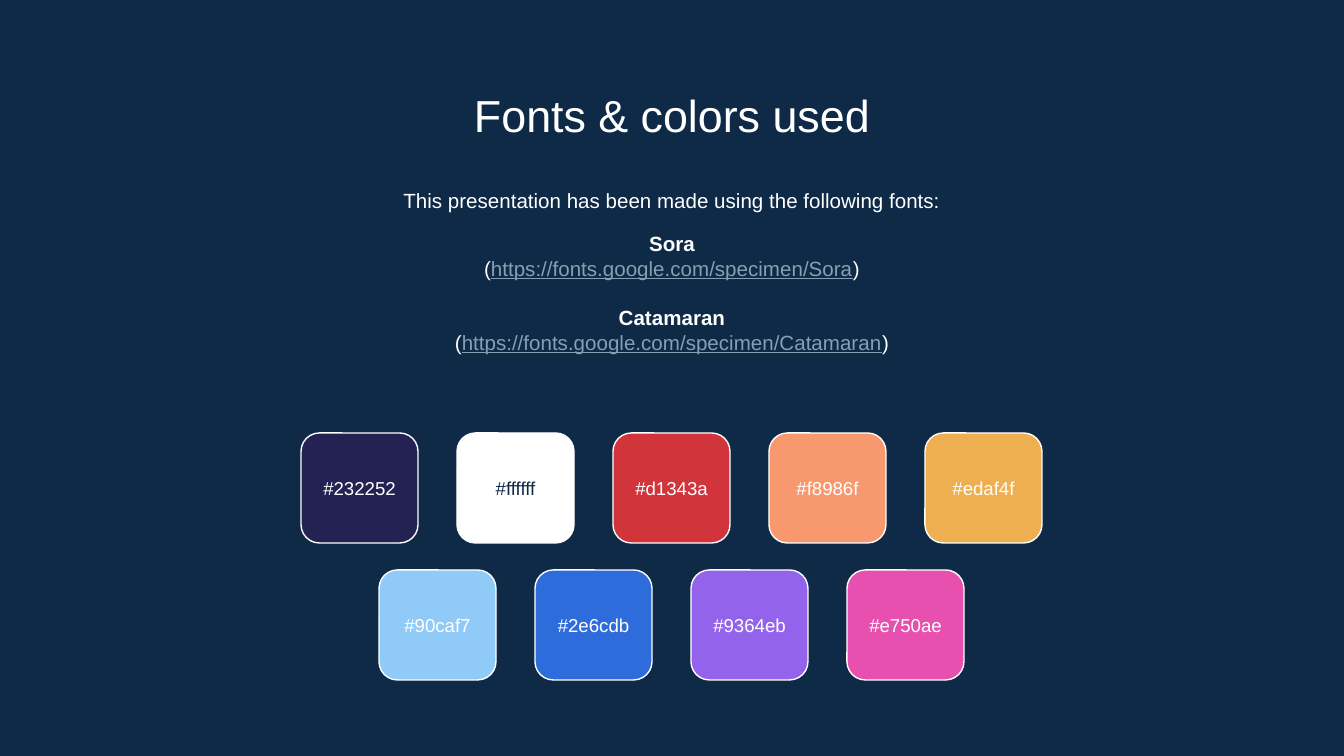
"""Build the slide that lists the fonts and colours of a presentation."""
import pptx
import pptx.dml.color
import pptx.enum.shapes
import pptx.enum.text
import pptx.util

PX = 914400 / 134.4
PAGE_WIDTH, PAGE_HEIGHT = 1344, 756
FONT = "Arial"
NAVY, WHITE, LINK = "0E2A47", "FFFFFF", "869FB2"
SWATCH_WIDTH, SWATCH_HEIGHT, SWATCH_PITCH = 117, 110, 156
SWATCH_ROWS = [
    (433, ["232252", "ffffff", "d1343a", "f8986f", "edaf4f"]),
    (570, ["90caf7", "2e6cdb", "9364eb", "e750ae"]),
]
FONT_PAGES = [
    ("Sora", "https://fonts.google.com/specimen/Sora", 10),
    ("Catamaran", "https://fonts.google.com/specimen/Catamaran", 13),
]


def px(length):
    """Turn pixels into EMU."""
    return pptx.util.Emu(round(length * PX))


def colour(code):
    """Turn a hex string into a colour."""
    return pptx.dml.color.RGBColor.from_string(code.upper())


def set_frame(shape, anchor, wrap=True):
    """Set the anchor, wrapping and margins of a shape's text."""
    frame = shape.text_frame
    frame.word_wrap = wrap
    frame.auto_size = pptx.enum.text.MSO_AUTO_SIZE.NONE
    frame.vertical_anchor = anchor
    frame.margin_left = frame.margin_right = px(13)
    frame.margin_top = frame.margin_bottom = px(13)
    return frame


def set_paragraph(para, size, code=WHITE, bold=False, before=0):
    """Centre a paragraph and set its font."""
    para.alignment = pptx.enum.text.PP_ALIGN.CENTER
    para.space_before = pptx.util.Pt(before)
    para.font.name = FONT
    para.font.size = pptx.util.Pt(size)
    para.font.bold = bold
    para.font.color.rgb = colour(code)


def add_title(page, text):
    """Place and format the title."""
    title = page.shapes.title
    title.left, title.top, title.width, title.height = map(px, (106, 75, 1132, 71))
    frame = set_frame(title, pptx.enum.text.MSO_ANCHOR.TOP)
    frame.text = text
    set_paragraph(frame.paragraphs[0], 24)


def add_font_list(page, intro):
    """Add the introduction and each font with its address."""
    box = page.shapes.add_textbox(*map(px, (106, 175, 1132, 215)))
    frame = set_frame(box, pptx.enum.text.MSO_ANCHOR.TOP)
    frame.text = intro
    set_paragraph(frame.paragraphs[0], 11)
    for name, address, before in FONT_PAGES:
        para = frame.add_paragraph()
        para.text = name
        set_paragraph(para, 11, bold=True, before=before)
        para = frame.add_paragraph()
        set_paragraph(para, 11)
        for text in ("(", address, ")"):
            span = para.add_run()
            span.text = text
            if text == address:
                span.font.underline = True
                span.font.color.rgb = colour(LINK)


def add_swatch(page, left, top, code):
    """Add a rounded square that is labelled with its own colour."""
    swatch = page.shapes.add_shape(
        pptx.enum.shapes.MSO_SHAPE.ROUNDED_RECTANGLE,
        *map(px, (left, top, SWATCH_WIDTH, SWATCH_HEIGHT)))
    swatch.shadow.inherit = False
    swatch.fill.solid()
    swatch.fill.fore_color.rgb = colour(code)
    swatch.line.color.rgb = colour(WHITE)
    swatch.line.width = pptx.util.Pt(0.75)
    frame = set_frame(swatch, pptx.enum.text.MSO_ANCHOR.MIDDLE, wrap=False)
    frame.text = "#" + code
    set_paragraph(frame.paragraphs[0], 10, NAVY if code.upper() == WHITE else WHITE)


def add_swatch_row(page, top, codes):
    """Add a row of swatches centred on the page."""
    width = (len(codes) - 1) * SWATCH_PITCH + SWATCH_WIDTH
    left = (PAGE_WIDTH - width) // 2
    for index, code in enumerate(codes):
        add_swatch(page, left + index * SWATCH_PITCH, top, code)


def main():
    """Build and save the deck."""
    deck = pptx.Presentation()
    deck.slide_width, deck.slide_height = px(PAGE_WIDTH), px(PAGE_HEIGHT)
    page = deck.slides.add_slide(deck.slide_layouts.get_by_name("Title Only"))
    page.background.fill.solid()
    page.background.fill.fore_color.rgb = colour(NAVY)
    add_title(page, "Fonts & colors used")
    add_font_list(page, "This presentation has been made using the following fonts:")
    for top, codes in SWATCH_ROWS:
        add_swatch_row(page, top, codes)
    deck.save("out.pptx")


if __name__ == "__main__":
    main()
